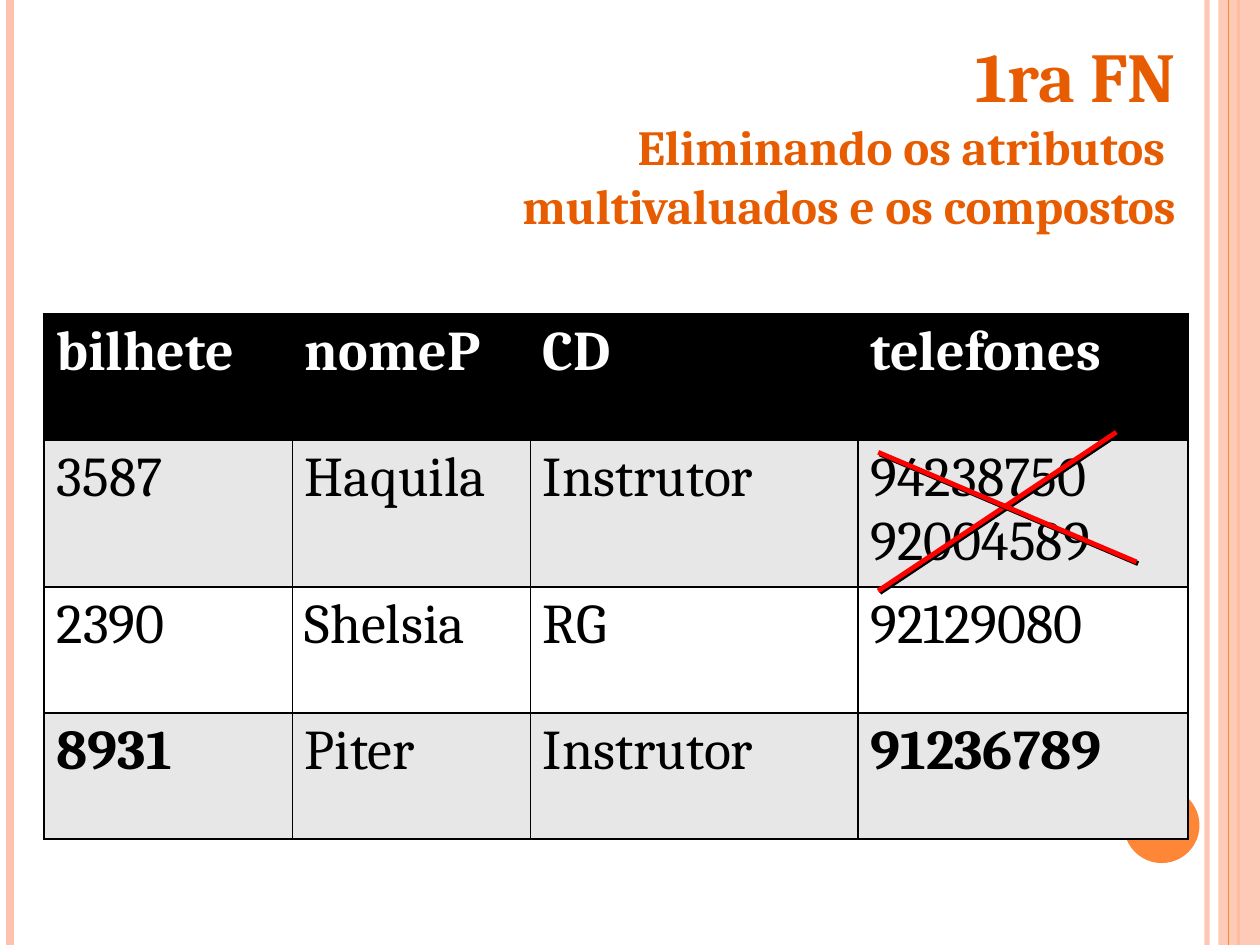
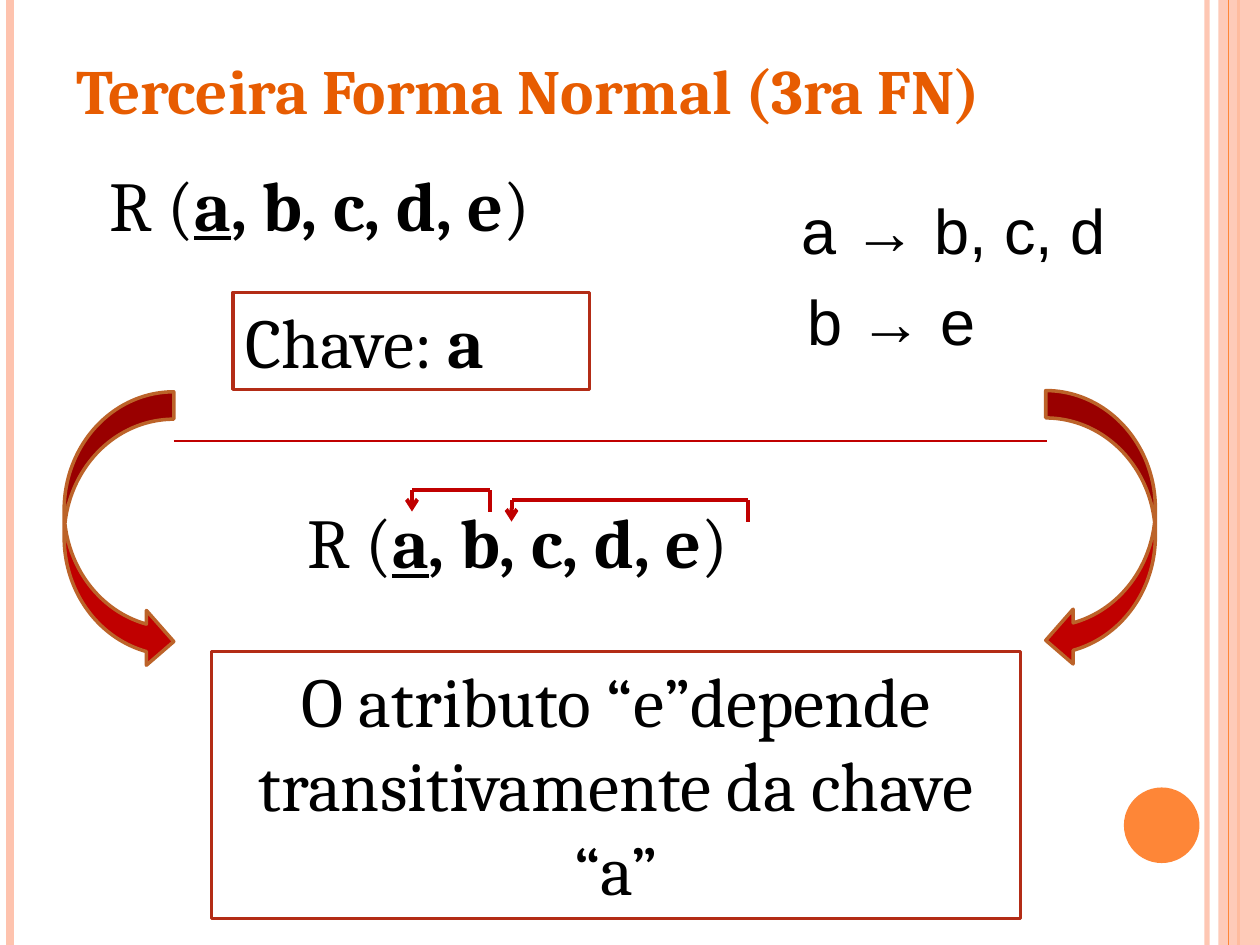
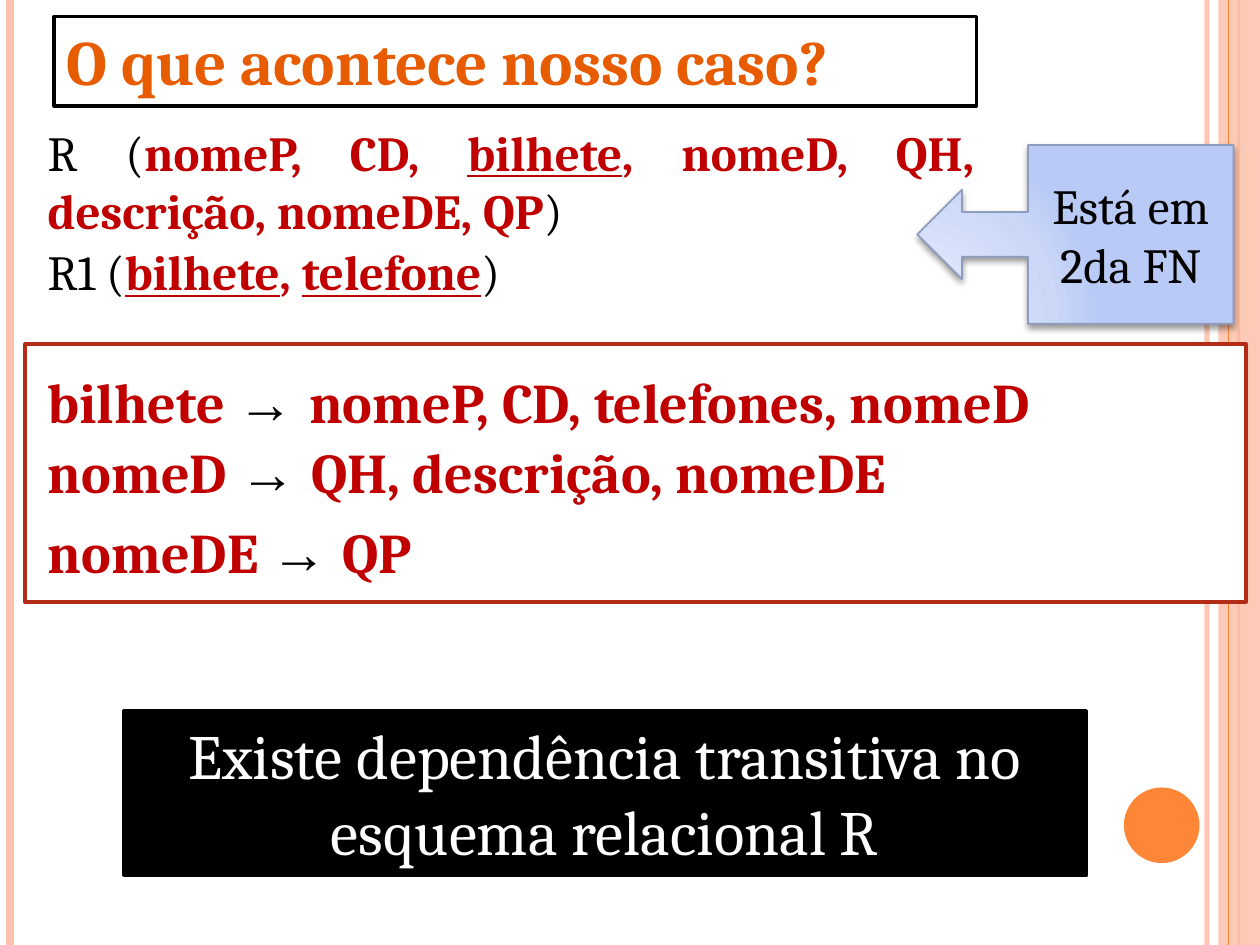
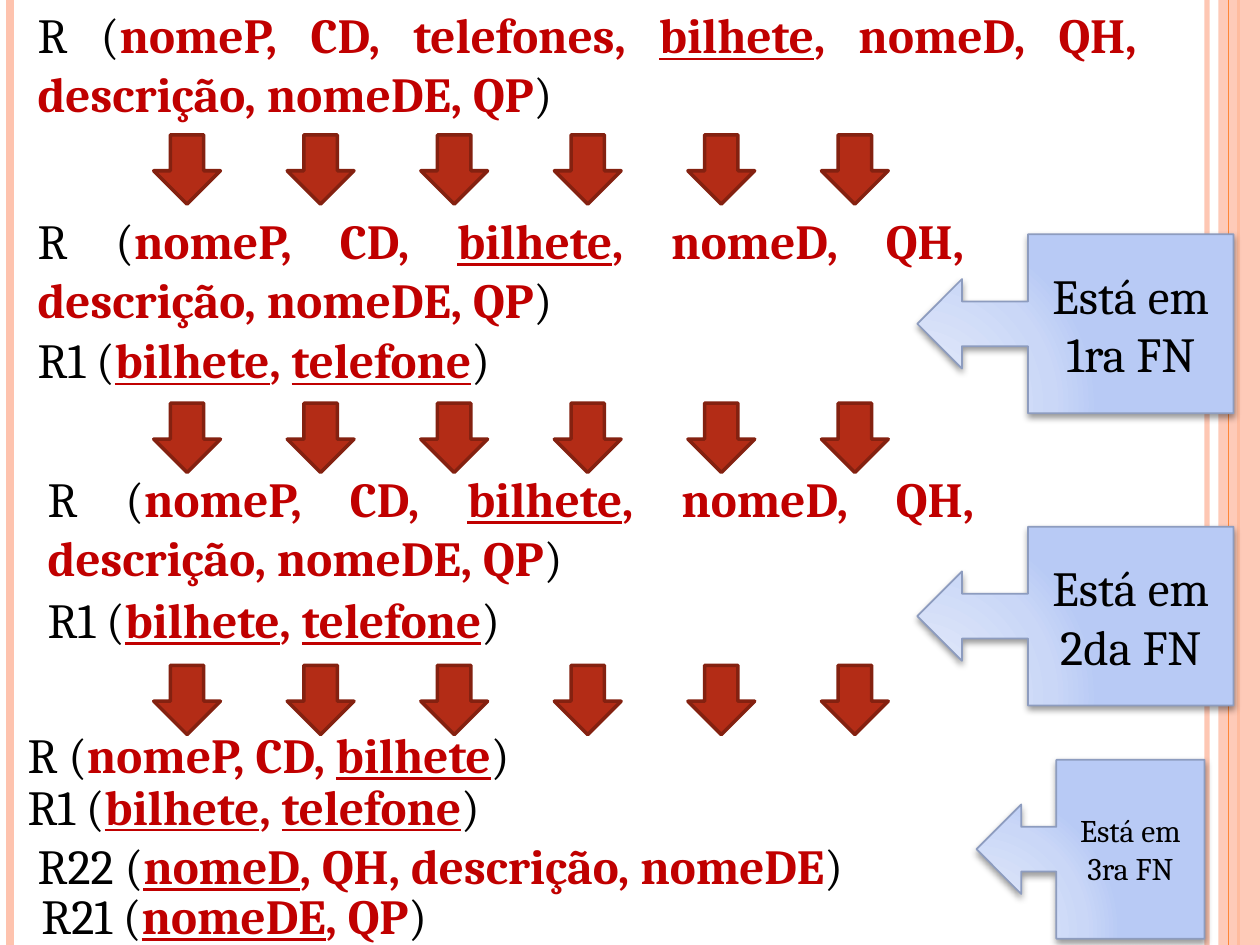
from lxml import etree
from pptx import Presentation
from pptx import util as u
from pptx.dml import color
from pptx.enum import shapes, text
from pptx.oxml import ns

BLACK, WHITE, GREY = "000000", "FFFFFF", "E7E7E7"
ORANGE, PEACH, TITLE = "FE8637", "FEC3AE", "E75C01"
RED, BRICK, DARK_BRICK = "C00000", "B32C16", "842110"
BLUES = [(0, "DEE6FA"), (30, "DBE4F9"), (75, "CAD7F7"), (100, "B8CAF5")]
LEFT, CENTER, RIGHT, JUSTIFY = (
    text.PP_ALIGN.LEFT, text.PP_ALIGN.CENTER, text.PP_ALIGN.RIGHT, text.PP_ALIGN.JUSTIFY)
SHAPE = shapes.MSO_SHAPE
FN2 = "nomeP, CD, _bilhete_, nomeD, QH, descrição, nomeDE, QP"
PHONES = "_bilhete_, _telefone_"


def rgb(value):
    return color.RGBColor.from_string(value)


def add_xml(parent, tag, index=None, **attributes):
    child = etree.Element(ns.qn(tag), attributes)
    parent.insert(len(parent) if index is None else index, child)
    return child


def set_alpha(owner, percent):
    for tint in owner.iter(ns.qn("a:srgbClr")):
        add_xml(tint, "a:alpha", val=str(percent * 1000))


def add_shadow(effects, alpha, blur, distance, angle):
    shadow = add_xml(effects, "a:outerShdw", blurRad=str(u.Pt(blur)),
                     dist=str(u.Pt(distance)), dir=str(angle * 60000), rotWithShape="0")
    tint = add_xml(shadow, "a:srgbClr", val=BLACK)
    add_xml(tint, "a:alpha", val=str(alpha * 1000))


def add_line(slide, start, end, tint, width, alpha=None, arrow=False, shadow=None):
    ends = [u.Inches(v) for v in (*start, *end)]
    line = slide.shapes.add_connector(shapes.MSO_CONNECTOR.STRAIGHT, *ends)
    line.line.color.rgb = rgb(tint)
    line.line.width = u.Pt(width)
    properties = line._element.spPr
    if alpha:
        set_alpha(properties, alpha)
    if arrow:
        add_xml(line.line._get_or_add_ln(), "a:tailEnd", type="arrow")
    effects = add_xml(properties, "a:effectLst")
    if shadow:
        add_shadow(effects, *shadow)


def add_shape(slide, kind, box, fill, outline=None, width=2):
    shape = slide.shapes.add_shape(kind, *map(u.Inches, box))
    shape.shadow.inherit = False
    shape.fill.solid()
    shape.fill.fore_color.rgb = rgb(fill)
    if outline:
        shape.line.color.rgb = rgb(outline)
        shape.line.width = u.Pt(width)
    else:
        shape.line.fill.background()
    shape.text_frame.vertical_anchor = text.MSO_ANCHOR.TOP
    return shape


def style(run, size, tint=BLACK, bold=False, underline=False, font="Cambria"):
    run.font.name, run.font.size = font, u.Pt(size)
    run.font.color.rgb = rgb(tint)
    run.font.bold, run.font.underline = bold, underline


def write(holder, lines, size, tint=BLACK, bold=False, align=LEFT):
    frame = holder.text_frame
    frame.word_wrap = True
    frame.text = "\n".join(lines)
    for paragraph in frame.paragraphs:
        paragraph.alignment = align
        for run in paragraph.runs:
            style(run, size, tint, bold)
    return frame


def write_runs(holder, runs, align=LEFT):
    holder.text_frame.word_wrap = True
    paragraph = holder.text_frame.paragraphs[0]
    paragraph.alignment = align
    for words, look in runs:
        run = paragraph.add_run()
        run.text = words
        style(run, **look)


def add_text_box(slide, box):
    return slide.shapes.add_textbox(*map(u.Inches, box))


def add_relation(slide, box, name, attributes, size=28, tint=RED):
    runs = [(f"{name} (", {"size": size})]
    for i, part in enumerate(attributes.split("_")):
        if part:
            runs.append((part, {"size": size, "tint": tint, "bold": True,
                                "underline": i % 2 == 1}))
    runs.append((")", {"size": size}))
    write_runs(add_text_box(slide, box), runs, JUSTIFY)


def add_frame(slide):
    add_line(slide, (9.58, 0), (9.58, 7.5), PEACH, 3, alpha=93)
    add_line(slide, (0.08, 0), (0.08, 7.5), PEACH, 4.5)
    add_line(slide, (9.83, 0), (9.83, 7.5), ORANGE, 1.5)
    band = add_shape(slide, SHAPE.RECTANGLE, (9.67, 0, 0.33, 7.5), PEACH)
    set_alpha(band._element.spPr, 87)
    add_line(slide, (9.75, 0), (9.75, 7.5), ORANGE, 0.75)
    add_shape(slide, SHAPE.OVAL, (8.92, 6.25, 0.6, 0.6), ORANGE)


def add_callout(slide, box, words, size=28):
    callout = add_shape(slide, SHAPE.LEFT_ARROW_CALLOUT, box, WHITE, "8D9CBF", 1)
    properties = callout._element.spPr
    solid = properties.find(ns.qn("a:solidFill"))
    gradient = add_xml(properties, "a:gradFill", properties.index(solid), rotWithShape="1")
    properties.remove(solid)
    stops = add_xml(gradient, "a:gsLst")
    for position, tint in BLUES:
        stop = add_xml(stops, "a:gs", pos=str(position * 1000))
        add_xml(stop, "a:srgbClr", val=tint)
    circle = add_xml(gradient, "a:path", path="circle")
    add_xml(circle, "a:fillToRect", l="5000", t="100000", r="120000", b="10000")
    add_shadow(properties.find(ns.qn("a:effectLst")), 40, 4, 2, 90)
    frame = write(callout, [words], size, align=CENTER)
    frame.vertical_anchor = text.MSO_ANCHOR.MIDDLE


def add_people_table(slide, box):
    rows = [
        ("bilhete", "nomeP", "CD", "telefones"),
        ("3587", "Haquila", "Instrutor", "94238750\n92004589"),
        ("2390", "Shelsia", "RG", "92129080"),
        ("8931", "Piter", "Instrutor", "91236789"),
    ]
    emphasized = {"8931", "91236789"}
    people = slide.shapes.add_table(4, 4, *map(u.Inches, box)).table
    for column, width in zip(people.columns, (1.97, 1.89, 2.6, 2.62)):
        column.width = u.Inches(width)
    for r, (values, height) in enumerate(zip(rows, (1, 1.17, 1, 1))):
        people.rows[r].height = u.Inches(height)
        fill = BLACK if r == 0 else GREY if r % 2 else WHITE
        for c, value in enumerate(values):
            cell = people.cell(r, c)
            write(cell, value.split("\n"), 32, WHITE if r == 0 else BLACK,
                  r == 0 or value in emphasized)
            cell.fill.solid()
            cell.fill.fore_color.rgb = rgb(fill)
            for i, side in enumerate("LRTB"):
                border = add_xml(cell._tc.get_or_add_tcPr(), f"a:ln{side}", i,
                                 w=str(u.Pt(1)))
                add_xml(add_xml(border, "a:solidFill"), "a:srgbClr", val=BLACK)


def build_first_form(slide):
    heading = add_text_box(slide, (3.17, 0.21, 6.26, 1.72))
    frame = write(heading, ["1ra FN", "Eliminando os atributos ",
                            "multivaluados e os compostos"], 28, TITLE, True, RIGHT)
    frame.paragraphs[0].runs[0].font.size = u.Pt(40)
    add_people_table(slide, (0.35, 2.49, 9.08, 4.17))
    for start, end in (((8.86, 3.43), (6.97, 4.69)), ((9.02, 4.46), (6.97, 3.59))):
        add_line(slide, start, end, "FF0000", 2.75, shadow=(100, 0, 1.4, 45))


def add_bracket(slide, left, right, top, drop=0.17):
    add_line(slide, (right, top), (left, top), RED, 2.25)
    add_line(slide, (right, top), (right, top + drop), RED, 2.25)
    add_line(slide, (left, top), (left, top + drop), RED, 2.25, arrow=True)


def add_dependencies(slide, box):
    frame = write(add_text_box(slide, box), ["a → b, c, d", "b → e"], 36)
    for paragraph, indent in zip(frame.paragraphs, (0.38, 0.43)):
        paragraph._p.get_or_add_pPr().set("marL", str(u.Inches(indent)))
        paragraph.runs[0].font.name = "Arial"
    frame.paragraphs[1].space_before = u.Pt(9)


def build_third_form(slide):
    write(add_text_box(slide, (0.51, 0.36, 8.75, 0.71)),
          ["Terceira Forma Normal (3ra FN)"], 36, TITLE, True)
    add_dependencies(slide, (5.88, 1.47, 3.45, 1.48))
    add_relation(slide, (0.77, 1.23, 5.34, 0.77), "R", "_a_, b, c, d, e", 40, BLACK)
    key = add_shape(slide, SHAPE.RECTANGLE, (1.85, 2.32, 2.83, 0.77), WHITE, BRICK)
    write_runs(key, [("Chave: ", {"size": 40}), ("a", {"size": 40, "bold": True})], JUSTIFY)
    add_shape(slide, SHAPE.CURVED_LEFT_ARROW, (8.3, 3.1, 0.87, 2.2), RED, "BC6329")
    add_line(slide, (1.38, 3.5), (8.31, 3.5), RED, 1)
    mirrored = add_shape(slide, SHAPE.CURVED_LEFT_ARROW, (0.51, 3.11, 0.87, 2.2), RED, "BC6329")
    mirrored._element.spPr.find(ns.qn("a:xfrm")).set("flipH", "1")
    conclusion = add_shape(slide, SHAPE.RECTANGLE, (1.68, 5.17, 6.42, 2.12), WHITE, BRICK)
    write(conclusion, ["O atributo “e”depende transitivamente da chave “a”"], 40, align=CENTER)
    add_relation(slide, (2.34, 3.91, 5.34, 0.77), "R", "_a_, b, c, d, e", 40, BLACK)
    add_bracket(slide, 3.27, 3.89, 3.89)
    add_bracket(slide, 4.06, 5.94, 3.97)


def build_our_case(slide):
    question = add_shape(slide, SHAPE.RECTANGLE, (0.43, 0.13, 7.32, 0.71), WHITE, BLACK)
    write(question, ["O que acontece nosso caso?"], 36, TITLE, True)
    add_relation(slide, (0.28, 1.87, 6.69, 0.57), "R1", PHONES)
    add_relation(slide, (0.28, 0.92, 7.55, 1.04), "R", FN2)
    add_callout(slide, (7.28, 1.15, 2.51, 1.42), "Está em 2da FN")
    add_shape(slide, SHAPE.RECTANGLE, (0.2, 2.73, 9.69, 2.05), WHITE, BRICK)
    attribute = {"size": 32, "tint": RED, "bold": True}
    for top, width, source, targets in (
            (3.42, 8.35, "nomeD", "QH, descrição, nomeDE"),
            (4.06, 3.92, "nomeDE", "QP"),
            (2.87, 9.69, "bilhete", "nomeP, CD, telefones, nomeD")):
        write_runs(add_text_box(slide, (0.28, top, width, 0.64)),
                   [(f"{source} ", attribute), ("→ ", {"size": 32, "font": "Arial"}),
                    (targets, attribute)])
    verdict = add_shape(slide, SHAPE.RECTANGLE, (0.98, 5.64, 7.64, 1.31), BLACK, BLACK)
    write(verdict, ["Existe dependência transitiva no esquema relacional R"],
          36, WHITE, align=CENTER)


def add_arrow_row(slide, left, top, count=6, pitch=1.06):
    for i in range(count):
        add_shape(slide, SHAPE.DOWN_ARROW, (left + i * pitch, top, 0.53, 0.55),
                  BRICK, DARK_BRICK)


def build_summary(slide):
    for box, name, attributes in (
            ((0.2, 2.57, 6.69, 0.57), "R1", PHONES),
            ((0.2, -0.01, 8.92, 1.04), "R", FN2.replace("CD, ", "CD, telefones, ")),
            ((0.2, 1.62, 7.55, 1.04), "R", FN2),
            ((0.28, 4.63, 6.69, 0.57), "R1", PHONES),
            ((0.28, 3.67, 7.55, 1.04), "R", FN2),
            ((0.12, 6.11, 6.69, 0.57), "R1", PHONES),
            ((0.12, 5.7, 4.88, 0.57), "R", "nomeP, CD, _bilhete_"),
            ((0.23, 6.98, 4.38, 0.57), "R21", "_nomeDE_, QP"),
            ((0.2, 6.58, 8.98, 0.57), "R22", "_nomeD_, QH, descrição, nomeDE")):
        add_relation(slide, box, name, attributes)
    for top in (1.07, 3.2, 5.28):
        add_arrow_row(slide, 1.22, top)
    add_callout(slide, (7.28, 1.86, 2.51, 1.42), "Está em 1ra FN")
    add_callout(slide, (7.28, 4.18, 2.51, 1.42), "Está em 2da FN")
    add_callout(slide, (7.75, 6.03, 1.81, 1.42), "Está em 3ra FN", 18)


def main():
    deck = Presentation()
    deck.slide_width, deck.slide_height = u.Inches(10), u.Inches(7.5)
    for build in (build_first_form, build_third_form, build_our_case, build_summary):
        slide = deck.slides.add_slide(deck.slide_layouts[6])
        add_frame(slide)
        build(slide)
    deck.save("out.pptx")


if __name__ == "__main__":
    main()
